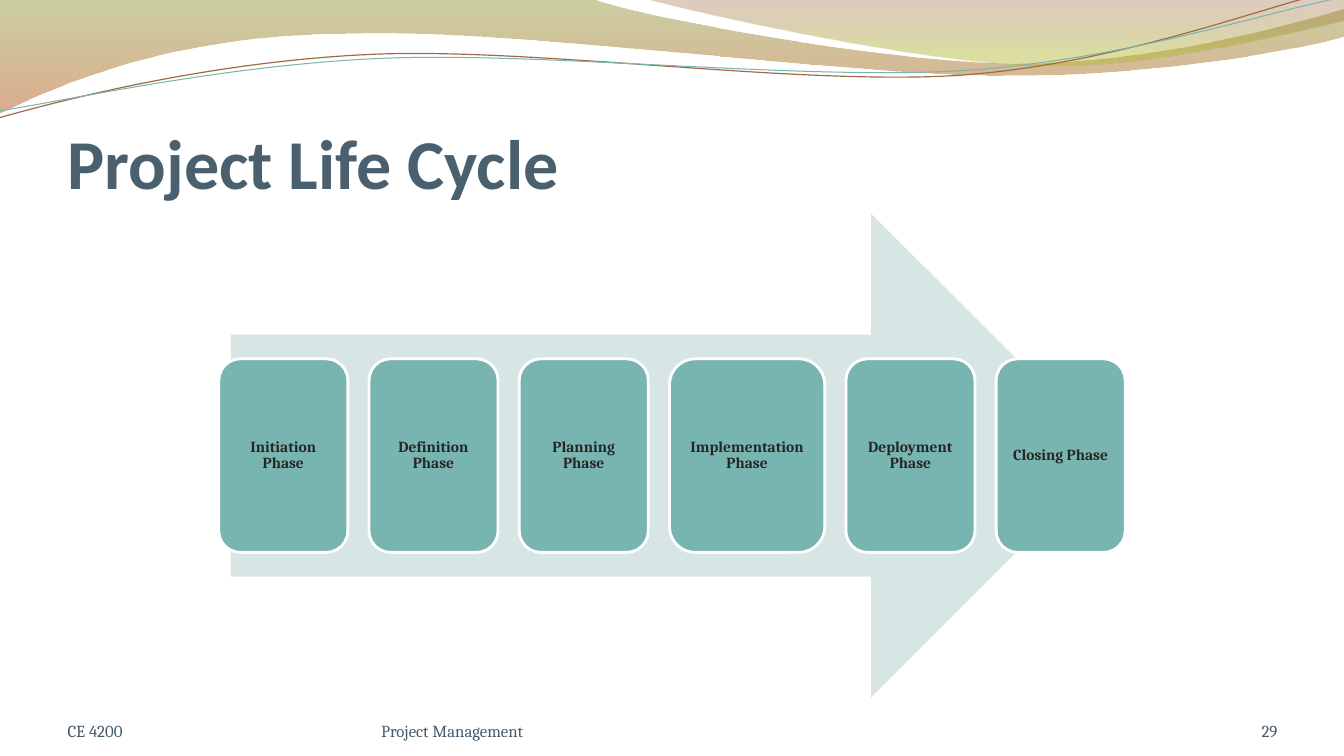
"""Build the Project Life Cycle slide."""
from math import cos, radians, sin

from lxml import etree
from pptx import Presentation
from pptx.dml.color import RGBColor
from pptx.enum.shapes import MSO_SHAPE
from pptx.enum.text import MSO_ANCHOR, PP_ALIGN
from pptx.oxml.ns import qn
from pptx.util import Inches, Pt

ARROW, ROUNDED = MSO_SHAPE.RIGHT_ARROW, MSO_SHAPE.ROUNDED_RECTANGLE
BOTTOM, MIDDLE = MSO_ANCHOR.BOTTOM, MSO_ANCHOR.MIDDLE
LEFT, CENTER, RIGHT = PP_ALIGN.LEFT, PP_ALIGN.CENTER, PP_ALIGN.RIGHT

COLORS = {
    "title": "4A606E", "footer": "465B69", "phase_text": "262626",
    "teal": "79B5B0", "pale_teal": "D7E5E4", "white": "FFFFFF", "rust": "A16A47",
    "olive": "8C9330", "orange": "C06730", "brown": "935631", "lime": "B0BA2F",
}
TITLE = {"size": Pt(50), "name": "Calibri", "bold": True}
PHASE = {"size": Pt(11), "name": "Cambria", "bold": True}
FOOTER = {"size": Pt(12), "name": "Cambria", "bold": False}

BANDS = [
    ((0, -0.01), [
        (5.87, -0.01),
        (6.34, 0.17, 8.85, 0.63, 10.11, 0.63),
        (11.38, 0.63, 12.78, 0.26, 13.33, 0.09),
        (13.35, 0.36),
        (13.11, 0.44, 11.6, 0.76, 9.94, 0.75),
        (8.29, 0.75, 5.09, 0.28, 3.43, 0.34),
        (1.72, 0.35, 0.61, 0.83, -0.01, 1.13),
        (0, -0.01),
    ], [(0, "olive", 45), (1, "orange", 55)]),
    ((6.39, -0.01), [
        (6.79, 0.11, 9.09, 0.62, 10.25, 0.65),
        (11.41, 0.69, 12.82, 0.32, 13.33, 0.21),
        (13.33, 0),
        (6.39, -0.01),
    ], [(0, "brown", 30), (0.8, "lime", 45)]),
]
WAVES = [
    ((-0.01, 1.17), [
        (0.63, 0.99, 2.1, 0.61, 3.69, 0.54),
        (5.27, 0.47, 7.89, 0.85, 9.49, 0.75),
        (11.1, 0.64, 12.51, 0.07, 13.3, -0.11),
    ], "rust", 0.85),
    ((-0.01, 1.1), [
        (0.62, 1.01, 2.18, 0.65, 3.77, 0.58),
        (5.37, 0.51, 7.96, 0.8, 9.55, 0.7),
        (11.14, 0.6, 12.55, 0.12, 13.33, -0.03),
    ], "teal", 0.75),
]
WAVE_TILT, WAVE_CENTER = 2.7, (6.66, 0.57)
PHASES = [
    ("Initiation Phase", 1.28), ("Definition Phase", 1.28), ("Planning Phase", 1.28),
    ("Implementation Phase", 1.54), ("Deployment Phase", 1.28), ("Closing Phase", 1.28),
]
PHASE_LEFT, PHASE_GAP = 2.17, 0.21
FOOTERS = [
    ("CE 4200", 0.67, 3.11, LEFT),
    ("Project Management", 3.78, 4.22, LEFT),
    ("29", 11.78, 0.89, RIGHT),
]


def rgb(name):
    """Return the named colour."""
    return RGBColor.from_string(COLORS[name])


def level(x, y, tilt):
    """Turn a point clockwise about the wave centre."""
    angle, (center_x, center_y) = radians(tilt), WAVE_CENTER
    x, y = x - center_x, y - center_y
    return (center_x + x * cos(angle) - y * sin(angle),
            center_y + x * sin(angle) + y * cos(angle))


def add_outline(slide, start, segments, close=False, tilt=0):
    """Draw a freeform of lines (2 numbers) and cubic curves (6 numbers)."""
    numbers = [*start, *(number for segment in segments for number in segment)]
    points = [tuple(map(Inches, level(x, y, tilt)))
              for x, y in zip(numbers[::2], numbers[1::2])]
    builder = slide.shapes.build_freeform(*points[0])
    builder.add_line_segments(points[1:], close=close)
    shape = builder.convert_to_shape()
    shape.shadow.inherit = False
    shape.rotation = -tilt % 360
    lines = iter(list(shape.element.spPr.iter(qn("a:lnTo"))))
    for segment in segments:
        line = next(lines)
        if len(segment) == 6:
            line.addprevious(curve := etree.Element(qn("a:cubicBezTo")))
            for part in (line, next(lines), next(lines)):
                curve.append(part[0])
                part.getparent().remove(part)
    return shape


def add_band(slide, start, segments, stops):
    """Add a closed band with a translucent vertical gradient."""
    shape = add_outline(slide, start, segments, close=True)
    shape.line.fill.background()
    shape.fill.gradient()
    shape.fill.gradient_angle = 270
    for stop, (position, color, _) in zip(shape.fill.gradient_stops, stops):
        stop.position = position
        stop.color.rgb = rgb(color)
    gradient = shape.element.spPr.find(qn("a:gradFill"))
    for element, (_, _, opacity) in zip(gradient.iter(qn("a:srgbClr")), stops):
        etree.SubElement(element, qn("a:alpha"), val=str(opacity * 1000))


def add_wave(slide, start, segments, color, width):
    """Add an open curved line."""
    shape = add_outline(slide, start, segments, tilt=WAVE_TILT)
    shape.fill.background()
    shape.line.color.rgb = rgb(color)
    shape.line.width = Pt(width)


def add_block(slide, kind, box, color):
    """Add a filled preset shape without a line."""
    shape = slide.shapes.add_shape(kind, *map(Inches, box))
    shape.shadow.inherit = False
    shape.fill.solid()
    shape.fill.fore_color.rgb = rgb(color)
    shape.line.fill.background()
    return shape


def set_text(shape, text, font, color, anchor, align, margins):
    """Write one formatted paragraph; margins run left, top, right, bottom."""
    frame = shape.text_frame
    frame.word_wrap = True
    frame.vertical_anchor = anchor
    for side, margin in zip(("left", "top", "right", "bottom"), margins):
        setattr(frame, f"margin_{side}", Inches(margin))
    paragraph = frame.paragraphs[0]
    paragraph.alignment = align
    run = paragraph.add_run()
    run.text = text
    for name, value in font.items():
        setattr(run.font, name, value)
    run.font.color.rgb = rgb(color)
    return paragraph


def add_label(slide, text, box, font, color, align=LEFT, top=0):
    """Add a bottom-anchored text box."""
    shape = slide.shapes.add_textbox(*map(Inches, box))
    set_text(shape, text, font, color, BOTTOM, align, (0, top, 0, 0))


def add_phase(slide, text, left, width):
    """Add one phase card."""
    shape = add_block(slide, ROUNDED, (left, 3.56, width, 1.92), "teal")
    shape.line.color.rgb = rgb("white")
    shape.line.width = Pt(2)
    paragraph = set_text(shape, text, PHASE, "phase_text", MIDDLE, CENTER, (0.05,) * 4)
    paragraph.line_spacing = 0.9


def main():
    """Build and save the slide."""
    presentation = Presentation()
    presentation.slide_width = Inches(13.33)
    presentation.slide_height = Inches(7.5)
    slide = presentation.slides.add_slide(presentation.slide_layouts[6])
    for band in BANDS:
        add_band(slide, *band)
    for wave in WAVES:
        add_wave(slide, *wave)
    add_label(slide, "Project Life Cycle", (0.67, 0.77, 12, 1.25), TITLE, "title", top=0.05)
    add_block(slide, ARROW, (2.29, 2.12, 8.75, 4.8), "pale_teal")
    left = PHASE_LEFT
    for text, width in PHASES:
        add_phase(slide, text, left, width)
        left += width + PHASE_GAP
    for text, left, width, align in FOOTERS:
        add_label(slide, text, (left, 6.95, width, 0.4), FOOTER, "footer", align)
    presentation.save("out.pptx")


if __name__ == "__main__":
    main()
